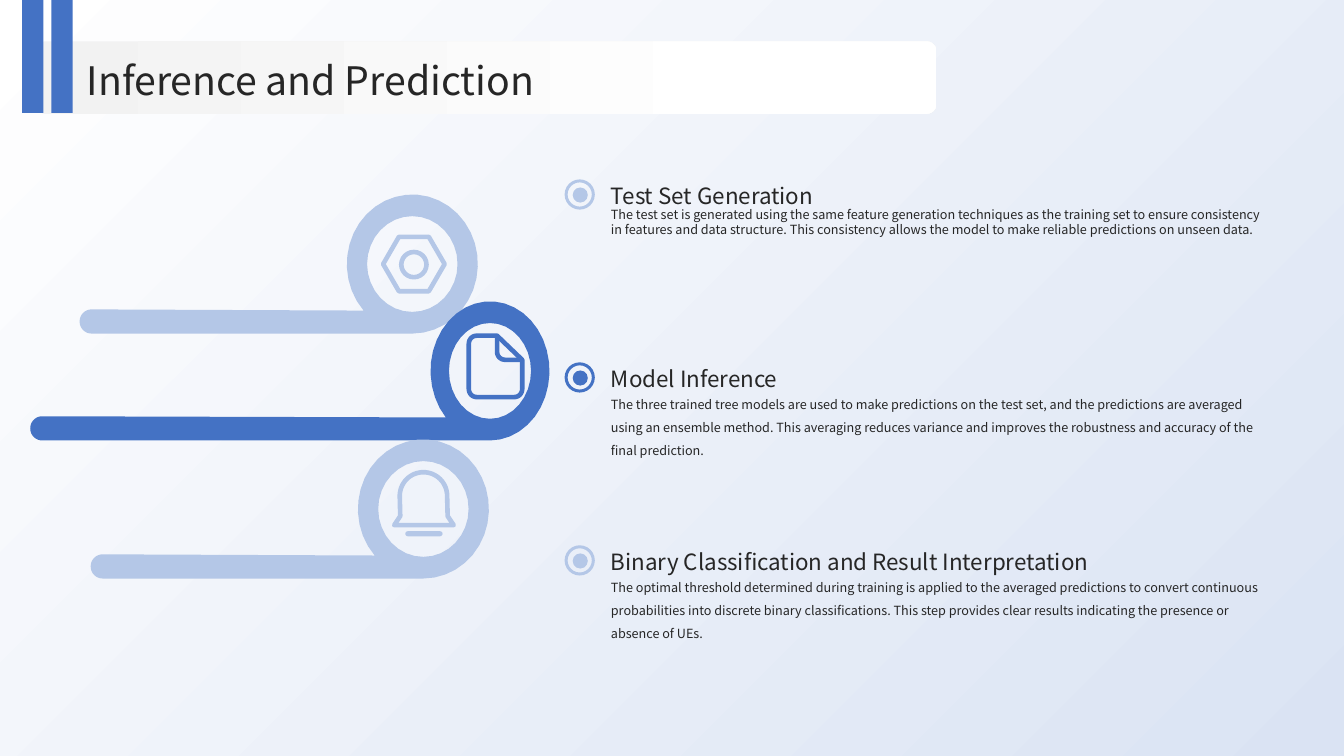
from math import cos, radians, sin

from pptx import Presentation
from pptx.dml.color import RGBColor
from pptx.enum.shapes import MSO_SHAPE as SHAPE
from pptx.enum.text import MSO_ANCHOR as ANCHOR, MSO_AUTO_SIZE as AUTO, PP_ALIGN as ALIGN
from pptx.util import Inches, Pt

BLUE, PALE, INK = "4472C4", "B4C7E7", "262626"
FONT = "Noto Sans CJK SC"
ICON_LINE = 3.3
UNITS = 1000  # freeform units per inch, as points are kept as whole numbers

prs = Presentation()
prs.slide_width, prs.slide_height = Inches(13.33), Inches(7.5)
s = prs.slides.add_slide(prs.slide_layouts[5])
rgb = RGBColor.from_string


def paint(sp, colors, angle=0, end=1, line=None):
    """Give a shape a gradient, a solid fill or only an outline."""
    sp.shadow.inherit = False
    if line:
        sp.fill.background()
        sp.line.color.rgb = rgb(colors[0])
        sp.line.width = Pt(line)
        return
    sp.line.fill.background()
    if len(colors) == 1:
        sp.fill.solid()
        sp.fill.fore_color.rgb = rgb(colors[0])
        return
    sp.fill.gradient()
    sp.fill.gradient_angle = angle
    for stop, color, place in zip(sp.fill.gradient_stops, colors, (0, end)):
        stop.color.rgb, stop.position = rgb(color), place


def arc(cx, cy, rx, ry, start, end, steps=32):
    """Points on an ellipse, clockwise in degrees from three o'clock."""
    angles = [radians(start + (end - start) * i / steps) for i in range(steps + 1)]
    return [(cx + rx * cos(a), cy + ry * sin(a)) for a in angles]


# Background
sp = s.shapes.add_shape(SHAPE.RECTANGLE, 0, 0, prs.slide_width, prs.slide_height)
paint(sp, ["DAE3F3", "FFFFFF"], angle=135)

# Three steps: bullet, heading and description
steps = [
    ("Test Set Generation", PALE, 1.0,
     "The test set is generated using the same feature generation techniques as the "
     "training set to ensure consistency in features and data structure. This consistency "
     "allows the model to make reliable predictions on unseen data."),
    ("Model Inference", BLUE, 1.5,
     "The three trained tree models are used to make predictions on the test set, and the "
     "predictions are averaged using an ensemble method. This averaging reduces variance "
     "and improves the robustness and accuracy of the final prediction."),
    ("Binary Classification and Result Interpretation", PALE, 1.5,
     "The optimal threshold determined during training is applied to the averaged "
     "predictions to convert continuous probabilities into discrete binary "
     "classifications. This step provides clear results indicating the presence or "
     "absence of UEs."),
]
STEP_TOP, STEP_PITCH = 1.35, 1.815
for i, (heading, color, spacing, description) in enumerate(steps):
    top = STEP_TOP + i * STEP_PITCH
    for kind, inset, size in ((SHAPE.DONUT, 0, 0.3), (SHAPE.OVAL, 0.08, 0.15)):
        sp = s.shapes.add_shape(kind, Inches(5.6 + inset), Inches(top + 0.43 + inset),
                                Inches(size), Inches(size))
        if kind == SHAPE.DONUT:
            sp.adjustments[0] = 0.1
        paint(sp, [color])
    for text, offset, height, size, leading, anchor in (
            (heading, 0, 0.72, 16, 1.3, ANCHOR.BOTTOM),
            (description, 0.7, 1.14, 9, spacing, ANCHOR.TOP)):
        tf = s.shapes.add_textbox(Inches(6.06), Inches(top + offset),
                                  Inches(6.54), Inches(height)).text_frame
        tf.word_wrap, tf.vertical_anchor = True, anchor
        tf.margin_left = tf.margin_right = tf.margin_top = tf.margin_bottom = 0
        p = tf.paragraphs[0]
        p.text, p.line_spacing = text, leading
        p.font.name, p.font.size, p.font.color.rgb = FONT, Pt(size), rgb(INK)

# Ribbons curling into rings, and the line icons inside them
RING_H, BAR_R = 0.69, 0.12
outlines = []
for cx, cy, rx, left, color in ((4.09, 2.62, 0.65, 0.79, PALE),
                                (4.86, 3.68, 0.59, 0.3, BLUE),
                                (4.2, 5.05, 0.65, 0.9, PALE)):
    ribbon = (arc(cx, cy, rx, RING_H, 138, 450)
              + arc(left + BAR_R, cy + RING_H - BAR_R, BAR_R, BAR_R, 90, 270))
    hole = arc(cx, cy, rx * 0.69, 0.475, 0, 360)
    outlines.append(([ribbon, hole], color, True, None))

page = ([(4.93, 3.33), (5.18, 3.57)] + arc(5.1, 3.86, 0.08, 0.08, 0, 90, 8)
        + arc(4.73, 3.86, 0.08, 0.08, 90, 180, 8) + arc(4.73, 3.41, 0.08, 0.08, 180, 270, 8))
fold = [(4.93, 3.33)] + arc(5.01, 3.49, 0.08, 0.08, 180, 90, 8) + [(5.18, 3.57)]
bell = arc(4.2, 4.92, 0.235, 0.235, 180, 360) + [(4.44, 5.12), (4.5, 5.21), (3.91, 5.21), (3.97, 5.12)]
outlines += [([page], BLUE, True, ICON_LINE), ([fold], BLUE, False, ICON_LINE),
             ([bell], PALE, True, ICON_LINE)]

for contours, color, closed, line in outlines:
    scaled = [[(x * UNITS, y * UNITS) for x, y in points] for points in contours]
    builder = s.shapes.build_freeform(*scaled[0][0], scale=Inches(1) / UNITS)
    for i, points in enumerate(scaled):
        if i:
            builder.move_to(*points[0])
        builder.add_line_segments(points[1:], close=closed)
    paint(builder.convert_to_shape(), [color], line=line)

# Nut icon and the bell's clapper
for kind, x, y, w, h, adjust, line in (
        (SHAPE.HEXAGON, 3.8, 2.35, 0.61, 0.54, 0.29, ICON_LINE),
        (SHAPE.OVAL, 3.98, 2.5, 0.25, 0.25, None, ICON_LINE),
        (SHAPE.ROUNDED_RECTANGLE, 4.02, 5.27, 0.37, 0.05, 0.5, None)):
    sp = s.shapes.add_shape(kind, Inches(x), Inches(y), Inches(w), Inches(h))
    if adjust:
        sp.adjustments[0] = adjust
    paint(sp, [PALE], line=line)

# Title banner with two tabs
sp = s.shapes.add_shape(SHAPE.ROUNDED_RECTANGLE, Inches(0.35), Inches(0.41), Inches(8.94), Inches(0.72))
sp.adjustments[0] = 0.14
paint(sp, ["F2F2F2", "FFFFFF"], end=0.8)
for x in (0.22, 0.51):
    sp = s.shapes.add_shape(SHAPE.RECTANGLE, Inches(x), 0, Inches(0.21), Inches(1.12))
    paint(sp, [BLUE])

# Title, brought in front of the banner
title = s.shapes.title
s.shapes._spTree.append(title._element)
title.left, title.top, title.width, title.height = (Inches(v) for v in (0.86, 0.51, 11.67, 0.51))
tf = title.text_frame
tf.auto_size, tf.vertical_anchor, tf.word_wrap = AUTO.NONE, ANCHOR.MIDDLE, True
tf.margin_left = tf.margin_right = tf.margin_top = tf.margin_bottom = 0
p = tf.paragraphs[0]
p.text, p.alignment, p.line_spacing = "Inference and Prediction", ALIGN.LEFT, 1.1
p.font.name, p.font.size, p.font.color.rgb = FONT, Pt(28), rgb(INK)

prs.save("out.pptx")
